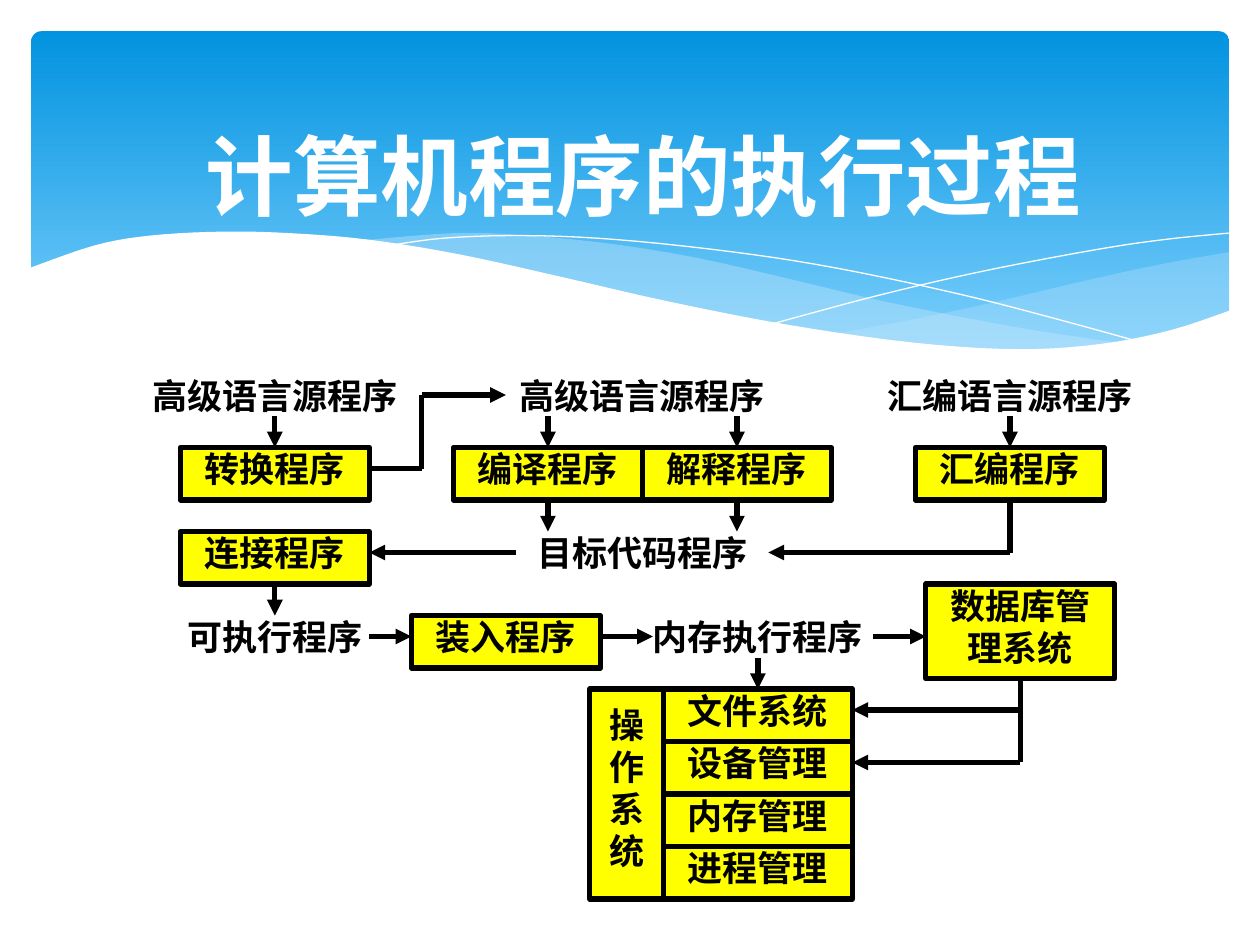
"""Builds a slide with a flowchart of how a computer program is executed."""
from typing import NamedTuple

from lxml import etree
from pptx import Presentation
from pptx.dml.color import RGBColor
from pptx.enum.shapes import MSO_CONNECTOR, MSO_SHAPE
from pptx.enum.text import MSO_ANCHOR, MSO_AUTO_SIZE, PP_ALIGN
from pptx.oxml.ns import qn
from pptx.util import Cm, Pt

STRAIGHT = MSO_CONNECTOR.STRAIGHT
RECTANGLE, ROUNDED = MSO_SHAPE.RECTANGLE, MSO_SHAPE.ROUNDED_RECTANGLE
TOP, MIDDLE = MSO_ANCHOR.TOP, MSO_ANCHOR.MIDDLE
CENTER = PP_ALIGN.CENTER
NO_AUTOFIT = MSO_AUTO_SIZE.NONE

BLACK = RGBColor(0x00, 0x00, 0x00)
WHITE = RGBColor(0xFF, 0xFF, 0xFF)
YELLOW = RGBColor(0xFF, 0xFF, 0x00)
DEEP_BLUE = RGBColor(0x02, 0x93, 0xE0)
SKY_BLUE = RGBColor(0x83, 0xD3, 0xFE)
PALE_BLUE = RGBColor(0xC6, 0xE7, 0xFC)

UNIT = 2.54 / 12
GRID_LEFT, GRID_TOP = 2.79, 7.54
ROW = 5
CURVE_STEPS = 5

Points = list[tuple[float, float]]


class Step(NamedTuple):
    """A text on the grid, in a yellow box when boxed."""
    text: str
    col: int
    row: int
    width: int = 18
    height: int = ROW
    boxed: bool = True
    inset_top: float = 0


class Flow(NamedTuple):
    """A straight line on the grid, ending in an arrowhead when pointed."""
    start: tuple[int, int]
    end: tuple[int, int]
    pointed: bool = True


class Wave(NamedTuple):
    """Smooth edges in centimetres that together bound a filled shape."""
    edges: list[Points]
    color: RGBColor
    opacity: int = 100


SOURCE_TEXTS = [
    Step("高级语言源程序", 0, 0, 26, boxed=False),
    Step("高级语言源程序", 35, 0, 26, boxed=False),
    Step("汇编语言源程序", 70, 0, 26, boxed=False),
    Step("目标代码程序", 35, 15, 26, boxed=False),
    Step("可执行程序", 0, 23, 26, boxed=False),
    Step("内存执行程序", 48, 23, 22, boxed=False),
]
PROGRAMS = [
    Step("转换程序", 4, 7),
    Step("编译程序", 30, 7),
    Step("解释程序", 48, 7),
    Step("汇编程序", 74, 7),
    Step("连接程序", 4, 15),
    Step("装入程序", 26, 23),
    Step("数据库管理系统", 75, 20, height=9),
    Step("操作系统", 43, 30, width=7, height=4 * ROW, inset_top=0.3),
]
OS_PARTS = [
    Step(part, 50, 30 + index * ROW)
    for index, part in enumerate(["文件系统", "设备管理", "内存管理", "进程管理"])
]
FLOWS = [
    *(Flow((col, 4), (col, 7)) for col in (13, 39, 57, 83)),
    *(Flow((col, 12), (col, 15)) for col in (39, 57)),
    Flow((22, 9), (27, 9), False),
    Flow((27, 9), (27, 2), False),
    Flow((27, 2), (35, 2)),
    Flow((83, 12), (83, 17), False),
    Flow((83, 17), (60, 17)),
    Flow((36, 17), (22, 17)),
    Flow((13, 20), (13, 23)),
    *(Flow((a, 25), (b, 25)) for a, b in ((22, 26), (44, 49), (70, 75))),
    Flow((59, 27), (59, 30)),
    Flow((84, 29), (84, 37), False),
    *(Flow((84, row), (68, row)) for row in (32, 37)),
]

BACK_WAVES = [
    Wave([
        [(24.79, 5.08), (23.39, 5.33), (21.87, 5.66), (19.79, 6.15), (17.93, 6.53), (16.79, 6.73)],
        [(16.79, 6.73), (17.91, 6.88), (19.23, 7.01), (20.68, 7.06), (22.15, 6.96),
         (23.39, 6.73), (24.79, 6.27)],
    ], PALE_BLUE, 29),
    Wave([
        [(22.68, 6.93), (20.5, 6.6), (17.93, 6.1), (15.98, 5.64), (14.1, 5.21),
         (12.42, 4.93), (10.67, 4.75), (9.17, 4.7), (7.26, 4.85)],
        [(7.26, 4.85), (9.19, 5.16), (11.4, 5.64), (13.46, 6.1), (15.7, 6.55),
         (17.65, 6.86), (19.33, 7.04), (20.78, 7.09), (22.68, 6.93)],
    ], PALE_BLUE, 40),
]
HAIRLINES = [
    [(7.85, 4.95), (8.97, 4.8), (10.57, 4.75), (12.42, 4.83), (14.78, 5.08),
     (16.89, 5.41), (19.3, 5.92), (21.11, 6.38), (23.04, 6.91)],
    [(15.57, 6.53), (17.65, 5.97), (19.71, 5.49), (22, 5.05), (23.47, 4.83), (24.77, 4.7)],
]
FRONT_WAVE = Wave([
    [(24.82, 6.25), (23.62, 6.65), (22.22, 6.93), (20.55, 7.04), (18.44, 6.91),
     (15.9, 6.55), (13.44, 6.07), (11.35, 5.59), (9.27, 5.13), (7.42, 4.83),
     (5.84, 4.7), (4.47, 4.67), (3.02, 4.75), (1.9, 4.95), (0.58, 5.41)],
    [(0.58, 8.36), (24.82, 8.36)],
], WHITE)


def smooth(knots: Points) -> list[tuple[int, int]]:
    """Return a Catmull-Rom curve through the knots."""
    padded = [knots[0], *knots, knots[-1]]
    curve = []
    for a, b, c, d in zip(padded, padded[1:], padded[2:], padded[3:]):
        for step in range(CURVE_STEPS):
            t = step / CURVE_STEPS
            curve.append(tuple(
                Cm(q + t / 2 * (r - p + t * (2 * p - 5 * q + 4 * r - s + t * (3 * q - p - 3 * r + s))))
                for p, q, r, s in zip(a, b, c, d)))
    return [*curve, tuple(Cm(value) for value in knots[-1])]


def trace(slide, edges: list[Points], close: bool):
    """Add a freeform along the smoothed edges."""
    outline = [point for edge in edges for point in smooth(edge)]
    builder = slide.shapes.build_freeform(*outline[0])
    builder.add_line_segments(outline[1:], close=close)
    shape = builder.convert_to_shape()
    shape.shadow.inherit = False
    return shape


def draw_wave(slide, wave: Wave) -> None:
    """Draw a filled wave without an outline."""
    shape = trace(slide, wave.edges, True)
    shape.line.fill.background()
    shape.fill.solid()
    shape.fill.fore_color.rgb = wave.color
    if wave.opacity < 100:
        color = shape._element.spPr.find(qn("a:solidFill"))[0]
        etree.SubElement(color, qn("a:alpha"), val=str(wave.opacity * 1000))


def draw_hairline(slide, knots: Points) -> None:
    """Draw a thin white curve."""
    shape = trace(slide, [knots], False)
    shape.fill.background()
    shape.line.color.rgb = WHITE
    shape.line.width = Pt(0)


def draw_banner(slide) -> None:
    """Draw the blue banner with its waves."""
    banner = slide.shapes.add_shape(ROUNDED, Cm(0.63), Cm(0.63), Cm(24.15), Cm(6.86))
    banner.adjustments[0] = 0.03
    banner.shadow.inherit = False
    banner.line.fill.background()
    banner.fill.gradient()
    banner.fill.gradient_angle = 270
    for stop, color in zip(banner.fill.gradient_stops, (DEEP_BLUE, SKY_BLUE)):
        stop.color.rgb = color
    for wave in BACK_WAVES:
        draw_wave(slide, wave)
    for knots in HAIRLINES:
        draw_hairline(slide, knots)
    draw_wave(slide, FRONT_WAVE)


def place(col: int, row: int) -> tuple[int, int]:
    """Return the slide position of a grid point."""
    return Cm(GRID_LEFT + col * UNIT), Cm(GRID_TOP + row * UNIT)


def write(frame, text: str, font: str, size: int, color: RGBColor, anchor) -> None:
    """Write one bold, centred paragraph."""
    frame.word_wrap = True
    frame.auto_size = NO_AUTOFIT
    frame.vertical_anchor = anchor
    paragraph = frame.paragraphs[0]
    paragraph.text = text
    paragraph.alignment = CENTER
    paragraph.font.name, paragraph.font.size = font, Pt(size)
    paragraph.font.bold = True
    paragraph.font.color.rgb = color


def draw_step(slide, step: Step) -> None:
    """Draw a step of the flowchart."""
    area = (*place(step.col, step.row), Cm(step.width * UNIT), Cm(step.height * UNIT))
    if step.boxed:
        shape = slide.shapes.add_shape(RECTANGLE, *area)
        shape.shadow.inherit = False
        shape.fill.solid()
        shape.fill.fore_color.rgb = YELLOW
        shape.line.color.rgb = BLACK
        shape.line.width = Pt(3)
    else:
        shape = slide.shapes.add_textbox(*area)
    frame = shape.text_frame
    frame.margin_left = frame.margin_right = Cm(0.25 if step.boxed else 0)
    frame.margin_top, frame.margin_bottom = Cm(step.inset_top), 0
    write(frame, step.text, "Arial", 20, BLACK, TOP)


def draw_flow(slide, flow: Flow) -> None:
    """Draw a line between two steps."""
    connector = slide.shapes.add_connector(STRAIGHT, *place(*flow.start), *place(*flow.end))
    connector.line.color.rgb = BLACK
    connector.line.width = Pt(3)
    if flow.pointed:
        etree.SubElement(connector.line._get_or_add_ln(), qn("a:tailEnd"), type="triangle")
    etree.SubElement(connector._element.spPr, qn("a:effectLst"))


def main() -> None:
    """Build and save the slide."""
    deck = Presentation()
    deck.slide_width, deck.slide_height = Cm(25.4), Cm(19.05)
    slide = deck.slides.add_slide(deck.slide_layouts[5])
    draw_banner(slide)
    title = slide.shapes.title
    slide.shapes._spTree.append(title._element)
    title.left, title.top, title.width, title.height = Cm(1.63), Cm(2.34), Cm(22.68), Cm(2.36)
    write(title.text_frame, "计算机程序的执行过程", "Calibri", 50, WHITE, MIDDLE)
    for step in SOURCE_TEXTS + PROGRAMS + OS_PARTS:
        draw_step(slide, step)
    for flow in FLOWS:
        draw_flow(slide, flow)
    deck.save("out.pptx")


if __name__ == "__main__":
    main()
